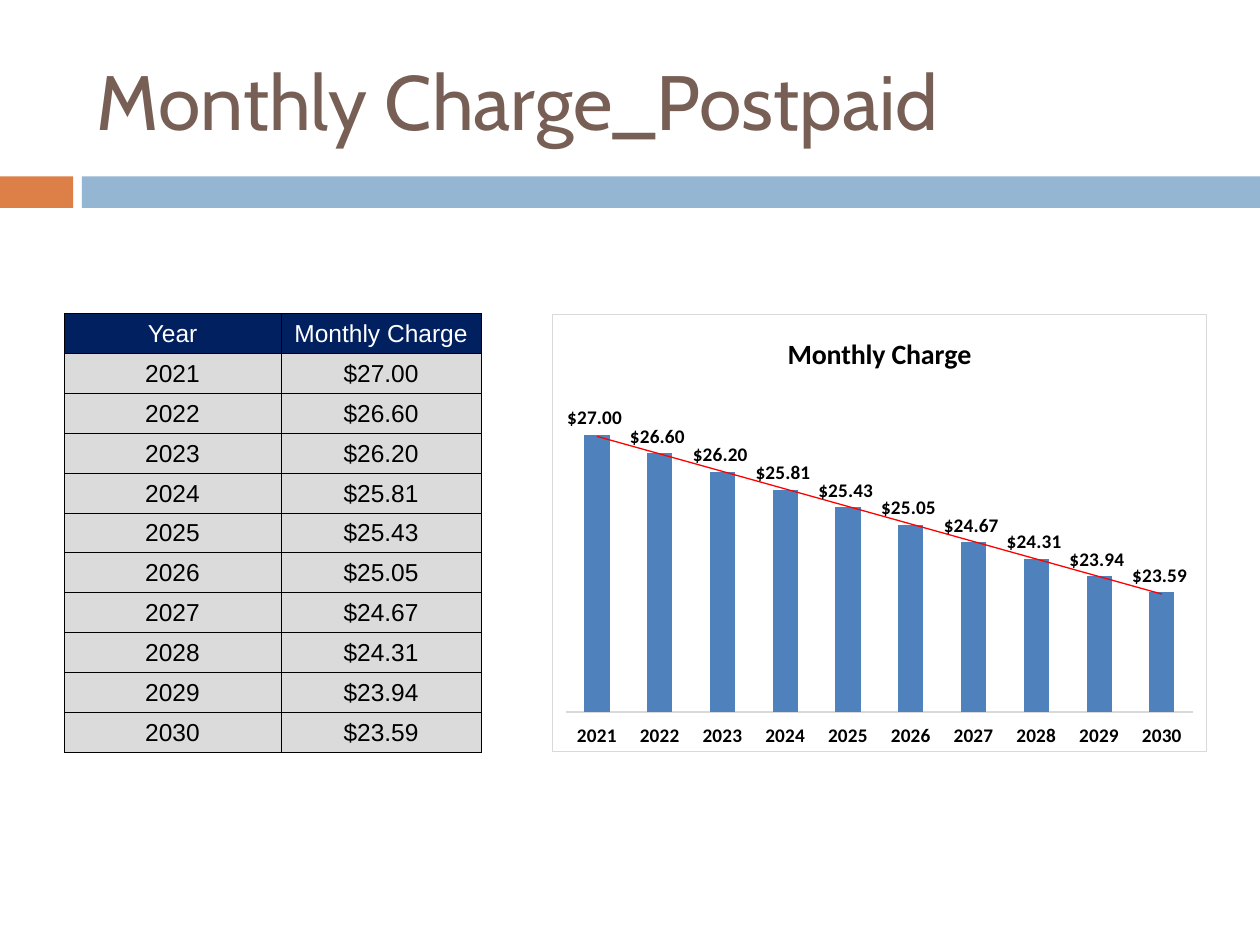
from lxml.etree import fromstring
from pptx import Presentation
from pptx.chart.data import CategoryChartData
from pptx.dml.color import RGBColor as RGB
from pptx.enum.chart import XL_CHART_TYPE as ChartType
from pptx.enum.chart import XL_LABEL_POSITION as LabelPosition
from pptx.enum.chart import XL_TICK_LABEL_POSITION as TickLabels
from pptx.enum.chart import XL_TICK_MARK as TickMark
from pptx.enum.shapes import MSO_SHAPE as Preset
from pptx.enum.text import MSO_ANCHOR as Anchor
from pptx.enum.text import PP_ALIGN as Align
from pptx.oxml.ns import qn
from pptx.util import Inches, Pt

THEME = {
    "orange": "DD8047", "sky": "94B6D2", "brown": "775F55", "navy": "002060",
    "row": "DBDBDB", "bar": "4F81BD", "trend": "FF0000", "frame": "D9D9D9",
    "white": "FFFFFF", "black": "000000",
    "title_size": 44, "table_size": 14, "chart_size": 11, "chart_title_size": 16,
}
NAMESPACES = ('xmlns:a="http://schemas.openxmlformats.org/drawingml/2006/main" '
              'xmlns:c="http://schemas.openxmlformats.org/drawingml/2006/chart"')
HEADING = "Monthly Charge"
MONEY = '"$"#,##0.00_);[Red]\\("$"#,##0.00\\)'
CHARGES = dict(zip(range(2021, 2031), (27.00, 26.60, 26.20, 25.81, 25.43,
                                       25.05, 24.67, 24.31, 23.94, 23.59)))

presentation = Presentation()
presentation.slide_width, presentation.slide_height = Inches(10), Inches(7.5)
slide = presentation.slides.add_slide(presentation.slide_layouts[6])
# The slide is a grid of 100 columns by 100 rows.
COLUMN = presentation.slide_width / 100
ROW = presentation.slide_height / 100


def place(left, top, width, height):
    """Turn grid columns and rows into slide lengths."""
    return (int(left * COLUMN), int(top * ROW),
            int(width * COLUMN), int(height * ROW))


def style_font(font, name, size, color, bold=False):
    values = {"name": name, "size": Pt(THEME[size]), "bold": bold}
    for attribute, value in values.items():
        setattr(font, attribute, value)
    font.color.rgb = RGB.from_string(THEME[color])


# Title and the two-part band below it
for left, width, color in ((0, 5.8, "orange"), (6.5, 93.5, "sky")):
    band = slide.shapes.add_shape(Preset.RECTANGLE, *place(left, 18.67, width, 3.33))
    band.shadow.inherit = False
    band.fill.solid()
    band.fill.fore_color.rgb = RGB.from_string(THEME[color])
    band.line.fill.background()

title_frame = slide.shapes.add_textbox(*place(6.7, 3.33, 89.2, 14.4)).text_frame
title_frame.word_wrap = True
title_frame.vertical_anchor = Anchor.MIDDLE
title_frame.text = "Monthly Charge_Postpaid"
style_font(title_frame.paragraphs[0].runs[0].font, "Cabin", "title_size", "brown")

# Table of charges by year
rows = [("Year", HEADING)]
rows += [(str(year), f"${charge:.2f}") for year, charge in CHARGES.items()]
table = slide.shapes.add_table(len(rows), 2, *place(5.1, 33.2, 33.1, 46.4)).table
for column, width in zip(table.columns, (17.2, 15.9)):
    column.width = int(width * COLUMN)
cell_format = {"vertical_anchor": Anchor.MIDDLE, "margin_left": Inches(0.01),
               "margin_right": Inches(0.01), "margin_top": Inches(0.01),
               "margin_bottom": 0}
for row_index, texts in enumerate(rows):
    fill, color = ("row", "black") if row_index else ("navy", "white")
    for column_index, text in enumerate(texts):
        cell = table.cell(row_index, column_index)
        cell.text = text
        for attribute, value in cell_format.items():
            setattr(cell, attribute, value)
        paragraph = cell.text_frame.paragraphs[0]
        paragraph.alignment = Align.CENTER
        style_font(paragraph.runs[0].font, "Arial", "table_size", color)
        for side in "LRTB":
            cell._tc.get_or_add_tcPr().append(fromstring(
                f'<a:ln{side} {NAMESPACES} w="{Pt(0.5)}"><a:solidFill>'
                f'<a:srgbClr val="{THEME["black"]}"/></a:solidFill></a:ln{side}>'))
        cell.fill.solid()
        cell.fill.fore_color.rgb = RGB.from_string(THEME[fill])

# Column chart of the same charges
chart_data = CategoryChartData(number_format=MONEY)
chart_data.categories = [str(year) for year in CHARGES]
chart_data.add_series(HEADING, list(CHARGES.values()))
chart = slide.shapes.add_chart(ChartType.COLUMN_CLUSTERED,
                               *place(43.8, 33.2, 52, 46.4), chart_data).chart
style_font(chart.font, "Calibri", "chart_size", "black", bold=True)
chart.has_legend = False
chart.has_title = True
chart.chart_title.include_in_layout = False
chart.chart_title.text_frame.text = HEADING
style_font(chart.chart_title.text_frame.paragraphs[0].runs[0].font,
           "Calibri", "chart_title_size", "black", bold=True)

value_axis, category_axis = chart.value_axis, chart.category_axis
axis_format = {"visible": False, "has_major_gridlines": False,
               "minimum_scale": 21, "maximum_scale": 28}
for attribute, value in axis_format.items():
    setattr(value_axis, attribute, value)
category_axis.major_tick_mark = TickMark.NONE
category_axis.tick_label_position = TickLabels.LOW
category_axis.format.line.width = Pt(0.75)
category_axis.format.line.color.rgb = RGB.from_string(THEME["frame"])

plot = chart.plots[0]
plot_format = {"gap_width": 150, "overlap": -25, "vary_by_categories": False}
for attribute, value in plot_format.items():
    setattr(plot, attribute, value)
series = plot.series[0]
series.format.fill.solid()
series.format.fill.fore_color.rgb = RGB.from_string(THEME["bar"])
label_format = {"show_value": True, "position": LabelPosition.OUTSIDE_END,
                "number_format": MONEY, "number_format_is_linked": False}
for attribute, value in label_format.items():
    setattr(series.data_labels, attribute, value)
style_font(series.data_labels.font, "Calibri", "chart_size", "black", bold=True)

# Trend line, chart frame and plot layout need XML
series._element.find(qn("c:cat")).addprevious(fromstring(
    f'<c:trendline {NAMESPACES}><c:spPr><a:ln w="{Pt(0.75)}"><a:solidFill>'
    f'<a:srgbClr val="{THEME["trend"]}"/></a:solidFill></a:ln></c:spPr>'
    '<c:trendlineType val="linear"/><c:dispRSqr val="0"/><c:dispEq val="0"/>'
    '</c:trendline>'))
chart_space = chart._chartSpace
chart_space.find(qn("c:txPr")).addprevious(fromstring(
    f'<c:spPr {NAMESPACES}><a:solidFill><a:srgbClr val="{THEME["white"]}"/>'
    f'</a:solidFill><a:ln w="{Pt(0.75)}"><a:solidFill>'
    f'<a:srgbClr val="{THEME["frame"]}"/></a:solidFill></a:ln></c:spPr>'))
plot_area = chart_space.chart.plotArea
for old_layout in plot_area.findall(qn("c:layout")):
    plot_area.remove(old_layout)
plot_area.insert(0, fromstring(
    f'<c:layout {NAMESPACES}><c:manualLayout><c:layoutTarget val="inner"/>'
    '<c:xMode val="edge"/><c:yMode val="edge"/><c:x val="0.02"/>'
    '<c:y val="0.17"/><c:w val="0.96"/><c:h val="0.74"/>'
    '</c:manualLayout></c:layout>'))

presentation.save("out.pptx")
